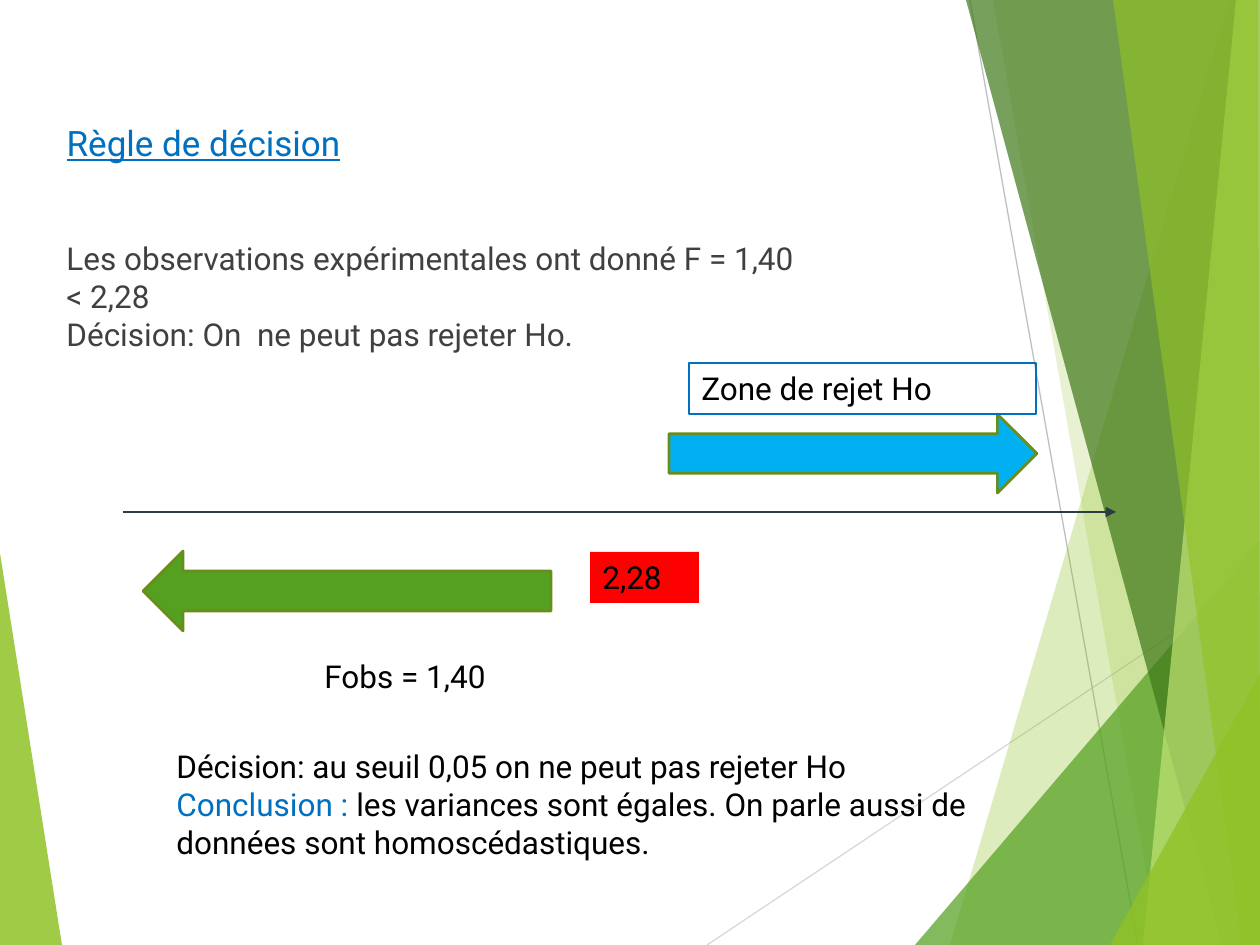
from dataclasses import dataclass

from lxml.etree import SubElement
from pptx import Presentation
from pptx.dml.color import RGBColor
from pptx.enum.shapes import MSO_CONNECTOR, MSO_SHAPE
from pptx.enum.text import MSO_ANCHOR, PP_ALIGN
from pptx.oxml.ns import qn
from pptx.util import Emu, Pt

EMU_PER_PX = 914400 / 126
WIDTH, HEIGHT = 1260, 945
FONT = "Roboto"
COLORS = {
    "leaf": "90C226", "lime": "C0E474", "green": "54A021", "forest": "3F7819",
    "olive": "688E19", "light": "D9D9D9", "silver": "BFBFBF", "slate": "2C3C43",
    "blue": "0070C0", "sky": "00B0F0", "red": "FF0000",
    "black": "000000", "grey": "404040",
}


@dataclass(frozen=True)
class Facet:
    points: tuple[tuple[int, int], ...]
    color: str
    opacity: int


@dataclass(frozen=True)
class Rule:
    start: tuple[int, int]
    end: tuple[int, int]
    color: str
    weight: float
    arrow: bool = False


@dataclass(frozen=True)
class Block:
    kind: MSO_SHAPE
    box: tuple[int, int, int, int]
    fill: str | None = None
    outline: str | None = None
    weight: float = 0.75
    text: str = ""


@dataclass(frozen=True)
class Note:
    box: tuple[int, int, int, int]
    paragraphs: tuple[tuple[tuple[str, str], ...], ...]


LEFT_FACET = Facet(((0, 553), (62, HEIGHT), (0, HEIGHT)), "leaf", 85)
BACK_RULES = (
    Rule((707, HEIGHT), (WIDTH, 576), "light", 0.75),
    Rule((970, 0), (1138, HEIGHT), "silver", 0.75),
)
RIGHT_FACETS = (
    Facet(((1229, 0), (950, HEIGHT), (WIDTH, HEIGHT), (WIDTH, 0)), "leaf", 30),
    Facet(((993, 0), (1159, HEIGHT), (WIDTH, HEIGHT), (WIDTH, 0)), "leaf", 20),
    Facet(((915, HEIGHT), (WIDTH, 541), (WIDTH, HEIGHT)), "green", 72),
    Facet(((966, 0), (1222, HEIGHT), (WIDTH, HEIGHT), (WIDTH, 0)), "forest", 70),
    Facet(((1236, 0), (1143, HEIGHT), (WIDTH, HEIGHT), (WIDTH, 0)), "lime", 70),
    Facet(((1113, 0), (1242, HEIGHT), (WIDTH, HEIGHT), (1258, 0)), "leaf", 65),
    Facet(((1110, HEIGHT), (WIDTH, 674), (WIDTH, HEIGHT)), "leaf", 80),
)
AXIS = Rule((123, 512), (1116, 512), "slate", 1, arrow=True)
BLOCKS = (
    Block(MSO_SHAPE.RECTANGLE, (590, 552, 109, 51), fill="red", text="2,28"),
    Block(MSO_SHAPE.RIGHT_ARROW, (669, 414, 368, 79), "sky", "olive", 1.5),
    Block(MSO_SHAPE.RECTANGLE, (689, 363, 347, 51), outline="blue", text="Zone de rejet Ho"),
    Block(MSO_SHAPE.LEFT_ARROW, (143, 551, 408, 80), "green", "olive", 1.5),
)
NOTES = (
    Note((54, 233, 764, 127), (
        (("Les observations expérimentales ont donné F = 1,40 < 2,28", "grey"),),
        (("Décision: On  ne peut pas rejeter Ho.", "grey"),),
    )),
    Note((312, 651, 218, 51), ((("Fobs = 1,40", "black"),),)),
    Note((164, 741, 873, 126), (
        (("Décision: au seuil 0,05 on ne peut pas rejeter Ho", "black"),),
        (("Conclusion :", "blue"),
         (" les variances sont égales. On parle aussi de données sont homoscédastiques.", "black")),
    )),
)


def px(length: int) -> Emu:
    return Emu(round(length * EMU_PER_PX))


def rgb(name: str) -> RGBColor:
    return RGBColor.from_string(COLORS[name])


def write(paragraph, text: str, *, color: str = "black", size: int = 18,
          underline: bool = False) -> None:
    paragraph.alignment = PP_ALIGN.LEFT
    paragraph.line_spacing = 1.0
    paragraph.space_before = Pt(0)
    run = paragraph.add_run()
    run.text = text
    run.font.name = FONT
    run.font.size = Pt(size)
    run.font.bold = False
    run.font.underline = underline
    run.font.color.rgb = rgb(color)


def draw_facet(slide, facet: Facet) -> None:
    builder = slide.shapes.build_freeform(*facet.points[0], scale=EMU_PER_PX)
    builder.add_line_segments(facet.points[1:], close=True)
    shape = builder.convert_to_shape()
    shape.shadow.inherit = False
    shape.line.fill.background()
    shape.fill.solid()
    shape.fill.fore_color.rgb = rgb(facet.color)
    fill_color = shape.element.spPr.find(qn("a:solidFill")).find(qn("a:srgbClr"))
    SubElement(fill_color, qn("a:alpha"), val=str(facet.opacity * 1000))


def draw_rule(slide, rule: Rule) -> None:
    connector = slide.shapes.add_connector(
        MSO_CONNECTOR.STRAIGHT, *map(px, rule.start + rule.end))
    connector.line.color.rgb = rgb(rule.color)
    connector.line.width = Pt(rule.weight)
    properties = connector.element.spPr
    if rule.arrow:
        SubElement(properties.find(qn("a:ln")), qn("a:tailEnd"), type="triangle")
    SubElement(properties, qn("a:effectLst"))


def draw_block(slide, block: Block) -> None:
    shape = slide.shapes.add_shape(block.kind, *map(px, block.box))
    shape.shadow.inherit = False
    if block.fill:
        shape.fill.solid()
        shape.fill.fore_color.rgb = rgb(block.fill)
    else:
        shape.fill.background()
    if block.outline:
        shape.line.color.rgb = rgb(block.outline)
        shape.line.width = Pt(block.weight)
    else:
        shape.line.fill.background()
    if block.text:
        shape.text_frame.vertical_anchor = MSO_ANCHOR.TOP
        write(shape.text_frame.paragraphs[0], block.text)


def draw_note(slide, note: Note) -> None:
    frame = slide.shapes.add_textbox(*map(px, note.box)).text_frame
    frame.word_wrap = True
    for index, runs in enumerate(note.paragraphs):
        paragraph = frame.add_paragraph() if index else frame.paragraphs[0]
        for text, color in runs:
            write(paragraph, text, color=color)


def draw_title(slide) -> None:
    title = slide.shapes.title
    title.left, title.top, title.width, title.height = map(px, (54, 115, 764, 54))
    title.text_frame.vertical_anchor = MSO_ANCHOR.TOP
    write(title.text_frame.paragraphs[0], "Règle de décision",
          color="blue", size=20, underline=True)


def main() -> None:
    presentation = Presentation()
    presentation.slide_width, presentation.slide_height = px(WIDTH), px(HEIGHT)
    slide = presentation.slides.add_slide(presentation.slide_layouts[5])
    draw_facet(slide, LEFT_FACET)
    for rule in BACK_RULES:
        draw_rule(slide, rule)
    for facet in RIGHT_FACETS:
        draw_facet(slide, facet)
    draw_title(slide)
    draw_rule(slide, AXIS)
    for block in BLOCKS:
        draw_block(slide, block)
    for note in NOTES:
        draw_note(slide, note)
    presentation.save("out.pptx")


if __name__ == "__main__":
    main()
